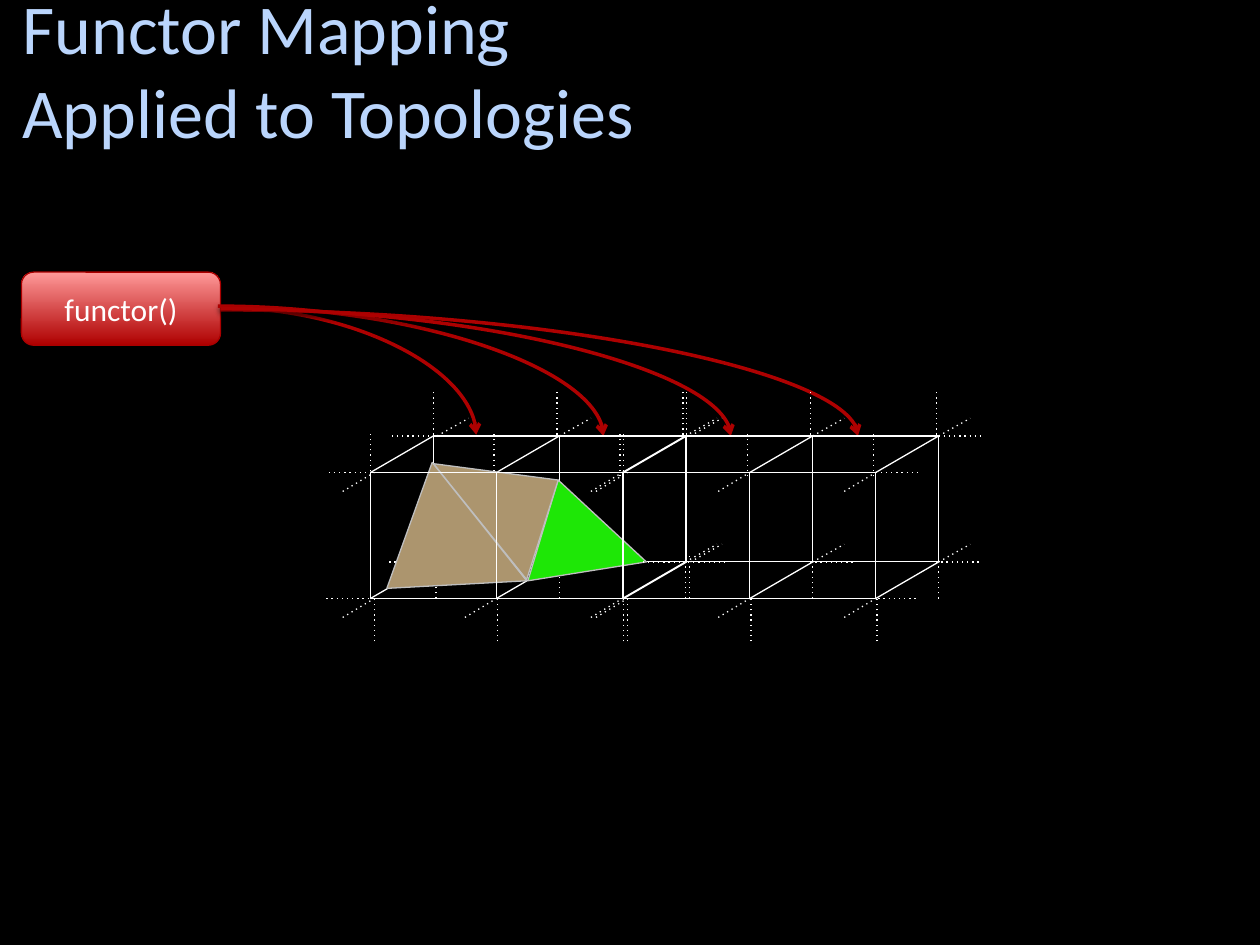
from itertools import product

from lxml import etree
from pptx import Presentation
from pptx import util as u
from pptx.dml.color import RGBColor
from pptx.enum import shapes, text
from pptx.oxml import ns

SCALE = 9144
BLACK = RGBColor(0x00, 0x00, 0x00)
WHITE = RGBColor(0xFF, 0xFF, 0xFF)
TITLE_BLUE = RGBColor(0xBA, 0xD5, 0xFC)
DARK_RED = RGBColor(0xAE, 0x00, 0x00)
LIGHT_RED = RGBColor(0xFF, 0x99, 0x99)
EDGE_RED = RGBColor(0xAA, 0x00, 0x00)
ARROW_RED = RGBColor(0xAD, 0x01, 0x01)
GREEN = RGBColor(0x1E, 0xE7, 0x06)
TAN = RGBColor(0xAC, 0x95, 0x6E)
GREY = RGBColor(0xBF, 0xBF, 0xBF)

CELL = 100
DEPTH_X, DEPTH_Y = 50, -29
GRID_LEFT, GRID_TOP, HALF_STEP = 294, 375, 201
ARROWS = [
    ((175, 244), (378, 345)),
    ((175, 246), (681, 346)),
    ((173, 243), (479, 346)),
    ((175, 245), (580, 346)),
]
TRIANGLES = [
    (GREEN, [(443, 381), (419, 461), (513, 446)]),
    (TAN, [(443, 381), (344, 368), (418, 460)]),
    (TAN, [(343, 367), (307, 467), (418, 461)]),
]


def px(*values):
    return [u.Emu(value * SCALE) for value in values]


def set_values(target, values):
    for name, value in values.items():
        setattr(target, name, value)


def add_child(parent, tag, **values):
    return etree.SubElement(parent, ns.qn(tag), values)


def write_text(box, words, size, color, align):
    frame = box.text_frame
    set_values(frame, {"word_wrap": True, "vertical_anchor": text.MSO_ANCHOR.MIDDLE})
    para = frame.paragraphs[0]
    para.text = words
    para.alignment = align
    for span in para.runs:
        set_values(span.font, {"name": "Calibri", "size": u.Pt(size)})
        span.font.color.rgb = color


def set_line(shape, color, width=0.75):
    shape.line.color.rgb = color
    shape.line.width = u.Pt(width)


def add_line(parent, start, end, dotted=False):
    line = parent.shapes.add_connector(
        shapes.MSO_CONNECTOR.STRAIGHT, *px(*start, *end))
    set_line(line, WHITE)
    properties = line._element.spPr
    if dotted:
        add_child(properties.find(ns.qn("a:ln")), "a:prstDash", val="dot")
    add_child(properties, "a:effectLst")


def add_arrow(page, start, end):
    arrow = page.shapes.add_connector(
        shapes.MSO_CONNECTOR.CURVE, *px(*start, *end))
    set_line(arrow, ARROW_RED, 2)
    properties = arrow._element.spPr
    properties.find(ns.qn("a:prstGeom")).set("prst", "curvedConnector2")
    add_child(properties.find(ns.qn("a:ln")), "a:tailEnd", type="arrow")
    effects = add_child(properties, "a:effectLst")
    shadow = add_child(effects, "a:outerShdw", blurRad=str(u.Pt(3.1)),
                       dist=str(u.Pt(1.6)), dir="5400000", rotWithShape="0")
    shade = add_child(shadow, "a:srgbClr", val=str(BLACK))
    add_child(shade, "a:alpha", val="38000")


def add_square(parent, left, top):
    square = parent.shapes.add_shape(
        shapes.MSO_SHAPE.RECTANGLE, *px(left, top, CELL, CELL))
    square.shadow.inherit = False
    square.fill.background()
    set_line(square, WHITE)


def add_triangle(parent, color, points):
    builder = parent.shapes.build_freeform(*points[0], scale=SCALE)
    builder.add_line_segments(points[1:], close=True)
    triangle = builder.convert_to_shape()
    triangle.shadow.inherit = False
    triangle.fill.solid()
    triangle.fill.fore_color.rgb = color
    set_line(triangle, GREY)


def add_dotted_extensions(parent, left, top):
    for x, y in product((3, CELL, 2 * CELL), (top, top + CELL)):
        front = left + x
        back, back_y = front + DEPTH_X, y + DEPTH_Y
        add_line(parent, (front - 25, y + 15), (front, y), True)
        add_line(parent, (back, back_y), (back + 25, back_y - 14), True)
    for x, (shift, y) in product((-33, CELL, 2 * CELL), ((0, 0), (-2, CELL))):
        for dx, dy in ((0, 0), (DEPTH_X, DEPTH_Y)):
            start = left + x + shift + dx
            add_line(parent, (start, top + y + dy), (start + 36, top + y + dy), True)
    for x, (dx, dy) in product((0, 98, 198), ((50, -30), (0, 3), (52, 100), (3, 134))):
        column, foot = left + x + dx, top + dy
        add_line(parent, (column, foot), (column, foot - 34), True)


def add_grid_half(page, left, top, triangles):
    group = page.shapes.add_group_shape()
    for column in (0, CELL):
        add_square(group, left + column + DEPTH_X, top + DEPTH_Y)
    for x, y in product((0, CELL, 2 * CELL), (0, CELL)):
        corner = (left + x, top + y)
        add_line(group, corner, (corner[0] + DEPTH_X, corner[1] + DEPTH_Y))
    add_dotted_extensions(group, left, top)
    for color, points in triangles:
        add_triangle(group, color, points)
    for column in (CELL, 0):
        add_square(group, left + column, top)


def add_title(page):
    box = page.shapes.add_textbox(*px(8, 0, 883, 108))
    write_text(box, "Functor Mapping\vApplied to Topologies", 40, TITLE_BLUE,
               text.PP_ALIGN.LEFT)


def add_functor(page):
    box = page.shapes.add_shape(
        shapes.MSO_SHAPE.ROUNDED_RECTANGLE, *px(17, 216, 158, 58))
    box.shadow.inherit = False
    box.fill.gradient()
    box.fill.gradient_angle = 90
    for stop, color in zip(box.fill.gradient_stops, (DARK_RED, LIGHT_RED)):
        stop.color.rgb = color
    set_line(box, EDGE_RED)
    write_text(box, "functor()", 18, WHITE, text.PP_ALIGN.CENTER)


def main():
    deck = Presentation()
    set_values(deck, dict(zip(("slide_width", "slide_height"), px(1000, 750))))
    page = deck.slides.add_slide(deck.slide_layouts[6])
    page.background.fill.solid()
    page.background.fill.fore_color.rgb = BLACK
    add_title(page)
    add_functor(page)
    for start, end in ARROWS:
        add_arrow(page, start, end)
    for half, triangles in enumerate((TRIANGLES, [])):
        add_grid_half(page, GRID_LEFT + half * HALF_STEP, GRID_TOP, triangles)
    deck.save("out.pptx")


if __name__ == "__main__":
    main()
